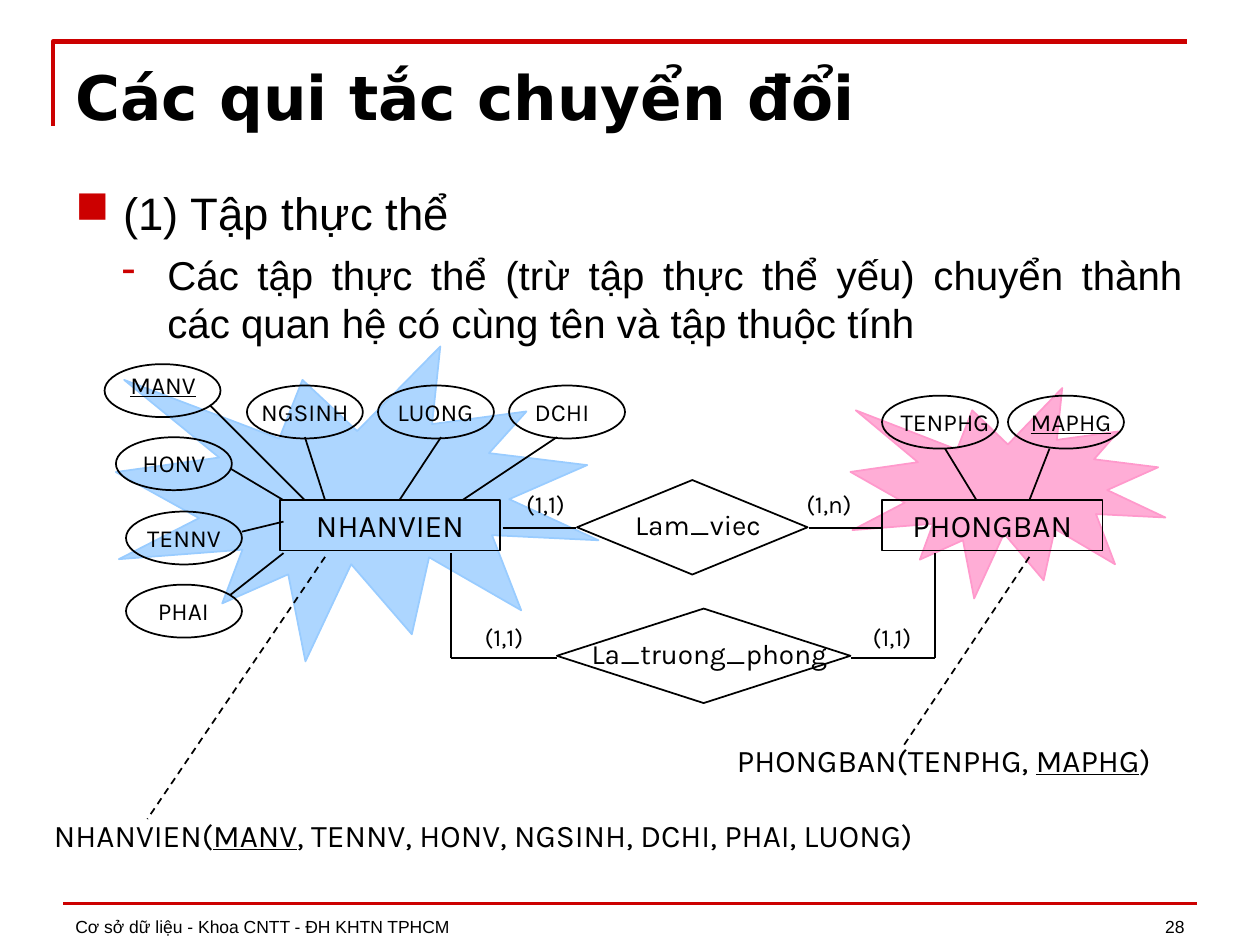
from collections import namedtuple

from lxml import etree
from pptx import Presentation
from pptx.dml.color import RGBColor
from pptx.enum.dml import MSO_LINE
from pptx.enum.shapes import MSO_CONNECTOR, MSO_SHAPE
from pptx.enum.text import MSO_ANCHOR, PP_ALIGN
from pptx.oxml.ns import qn
from pptx.util import Inches, Pt

COLORS = {"red": "CC0000", "black": "000000", "blue": "99CCFF", "pink": "FF99CC"}
Box = namedtuple("Box", "left top width height")
Attribute = namedtuple("Attribute", "name left top label_shift label_width link key",
                       defaults=(False,))


def rgb(name):
    return RGBColor.from_string(COLORS[name])


def lengths(box):
    return [Inches(value) for value in box]


def inside(box, left, top, width, height):
    return Box(box.left + left, box.top + top, width, height)


def add_line(slide, origin, points, color="black", weight=1, dashed=False):
    start_x, start_y, end_x, end_y = points
    line = slide.shapes.add_connector(
        MSO_CONNECTOR.STRAIGHT,
        Inches(origin.left + start_x), Inches(origin.top + start_y),
        Inches(origin.left + end_x), Inches(origin.top + end_y))
    line.line.color.rgb = rgb(color)
    line.line.width = Pt(weight)
    if dashed:
        line.line.dash_style = MSO_LINE.DASH
    etree.SubElement(line._element.spPr, qn("a:effectLst"))


def add_outline(slide, kind, box):
    shape = slide.shapes.add_shape(kind, *lengths(box))
    shape.shadow.inherit = False
    shape.fill.background()
    shape.line.color.rgb = rgb("black")
    shape.line.width = Pt(1)
    return shape


def write(frame, parts, size, font="Karla", align=PP_ALIGN.CENTER,
          anchor=MSO_ANCHOR.TOP, bold=False):
    """Fill a frame with one paragraph; parts are (text, underlined) pairs."""
    frame.word_wrap = True
    frame.vertical_anchor = anchor
    paragraph = frame.paragraphs[0]
    paragraph.alignment = align
    style(paragraph, size, font, bold)
    for text, underlined in parts:
        run = paragraph.add_run()
        run.text = text
        if underlined:
            run.font.underline = True


def style(paragraph, size, font, bold=False):
    paragraph.font.size = Pt(size)
    paragraph.font.name = font
    paragraph.font.bold = bold
    paragraph.font.color.rgb = rgb("black")


def add_text(slide, box, parts, size, **options):
    frame = slide.shapes.add_textbox(*lengths(box)).text_frame
    write(frame, parts, size, **options)
    return frame


def add_header(slide, box):
    # Corner rule around the title
    builder = slide.shapes.build_freeform(
        Inches(box.left), Inches(box.top + box.height))
    builder.add_line_segments(
        [(Inches(box.left), Inches(box.top)),
         (Inches(box.left + box.width), Inches(box.top))], close=False)
    corner = builder.convert_to_shape()
    corner.shadow.inherit = False
    corner.fill.background()
    corner.line.color.rgb = rgb("red")
    corner.line.width = Pt(2.5)
    # Title
    frame = add_text(slide, inside(box, 0.08, 0.06, 9, 0.68),
                     [("Các qui tắc chuyển đổi", False)], 35, font="DejaVu Sans",
                     align=PP_ALIGN.LEFT, anchor=MSO_ANCHOR.BOTTOM, bold=True)
    frame.margin_bottom = Inches(0.02)


def add_footer(slide, box):
    add_line(slide, box, (0, 0.18, box.width, 0.18), "red", 2)
    for left, width, text, align in (
            (0, 6.08, "Cơ sở dữ liệu - Khoa CNTT - ĐH KHTN TPHCM", PP_ALIGN.LEFT),
            (6.67, 2.33, "28", PP_ALIGN.RIGHT)):
        add_text(slide, inside(box, left, 0, width, box.height), [(text, False)], 10,
                 font="Arial", align=align, anchor=MSO_ANCHOR.BOTTOM)


def add_body(slide, box):
    frame = slide.shapes.add_textbox(*lengths(box)).text_frame
    frame.word_wrap = True
    items = (
        ("(1) Tập thực thể", "■", 26, 0.38, 0.38, 0),
        ("Các tập thực thể (trừ tập thực thể yếu) chuyển thành "
         "các quan hệ có cùng tên và tập thuộc tính", "-", 23, 0.73, 0.36, 5.8))
    for level, (text, bullet, size, margin, hanging, before) in enumerate(items):
        paragraph = frame.add_paragraph() if level else frame.paragraphs[0]
        paragraph.text = text
        paragraph.level = level
        paragraph.alignment = PP_ALIGN.JUSTIFY
        properties = paragraph._p.get_or_add_pPr()
        properties.set("marL", str(Inches(margin)))
        properties.set("indent", str(-Inches(hanging)))
        color = etree.SubElement(properties, qn("a:buClr"))
        etree.SubElement(color, qn("a:srgbClr")).set("val", COLORS["red"])
        etree.SubElement(properties, qn("a:buChar")).set("char", bullet)
        if before:
            paragraph.space_before = Pt(before)
        style(paragraph, size, "Arial")


def add_entity(slide, box, name, color, burst, frame_place, attributes):
    # Coloured burst behind the entity
    seal = slide.shapes.add_shape(MSO_SHAPE.EXPLOSION1, *lengths(inside(box, *burst)))
    seal.shadow.inherit = False
    seal.fill.solid()
    seal.fill.fore_color.rgb = seal.line.color.rgb = rgb(color)
    seal.line.width = Pt(1)
    fill_color = seal._element.spPr.find(qn("a:solidFill"))[0]
    etree.SubElement(fill_color, qn("a:alpha")).set("val", "80000")
    # Entity rectangle
    rectangle = add_outline(slide, MSO_SHAPE.RECTANGLE,
                            inside(box, *frame_place, 1.75, 0.4))
    write(rectangle.text_frame, [(name, False)], 18)
    # Attributes with their links
    for item in attributes:
        oval = inside(box, item.left, item.top, 0.92, 0.42)
        add_outline(slide, MSO_SHAPE.OVAL, oval)
        label_drop = 0 if item.name == "MANV" else 0.04
        add_text(slide, inside(oval, item.label_shift, label_drop, item.label_width, 0.34),
                 [(item.name, item.key)], 14)
        add_line(slide, box, item.link)


def add_relationship(slide, box, name, cardinalities, lines):
    add_outline(slide, MSO_SHAPE.FLOWCHART_DECISION, box)
    add_text(slide, inside(box, 0.17, 0.17, box.width - 0.25, 0.37), [(name, False)], 16)
    for text, left, top in cardinalities:
        add_text(slide, inside(box, left, top, 1, 0.34), [(text, False)], 14)
    for points in lines:
        add_line(slide, box, points)


def add_schema(slide, box, parts, pointer):
    add_text(slide, box, parts, 18, align=PP_ALIGN.LEFT)
    add_line(slide, box, pointer, dashed=True)


def main():
    presentation = Presentation()
    presentation.slide_width, presentation.slide_height = Inches(10), Inches(7.5)
    slide = presentation.slides.add_slide(presentation.slide_layouts[6])

    add_header(slide, Box(0.42, 0.33, 9, 0.67))
    add_footer(slide, Box(0.5, 6.99, 9, 0.5))

    # Entities
    add_entity(slide, Box(6.75, 3.08, 2.5, 1.67), "PHONGBAN", "pink",
               (0, 0, 2.5, 1.67), (0.25, 0.89), (
                   Attribute("MAPHG", 1.25, 0.06, 0, 1, (1.58, 0.48, 1.42, 0.89), True),
                   Attribute("TENPHG", 0.25, 0.06, 0, 1, (0.75, 0.48, 1, 0.89))))
    add_entity(slide, Box(0.83, 2.75, 4.13, 2.5), "NHANVIEN", "blue",
               (0.09, 0, 3.83, 2.5), (1.39, 1.22), (
                   Attribute("TENNV", 0.17, 1.31, 0, 0.92, (1.42, 1.39, 1.09, 1.47)),
                   Attribute("NGSINH", 1.13, 0.31, -0.04, 1, (1.75, 1.22, 1.59, 0.72)),
                   Attribute("DCHI", 3.21, 0.31, -0.04, 0.92, (2.84, 1.22, 3.59, 0.72)),
                   Attribute("PHAI", 0.17, 1.89, 0.04, 0.83, (1.42, 1.64, 1, 1.97)),
                   Attribute("LUONG", 2.17, 0.31, 0.04, 0.83, (2.34, 1.22, 2.67, 0.72)),
                   Attribute("HONV", 0.09, 0.72, 0, 0.92, (1.42, 1.22, 1, 0.97)),
                   Attribute("MANV", 0, 0.14, 0.05, 0.83, (1.59, 1.22, 0.84, 0.47), True)))
    add_body(slide, Box(0.5, 1.42, 9, 5.29))

    # Relationships
    add_relationship(slide, Box(4.58, 3.81, 1.83, 0.75), "Lam_viec",
                     (("(1,1)", -0.75, 0.02), ("(1,n)", 1.5, 0.02)),
                     ((-0.59, 0.38, -0.01, 0.38), (1.84, 0.38, 2.42, 0.38)))
    add_relationship(slide, Box(4.42, 4.83, 2.33, 0.75), "La_truong_phong",
                     (("(1,1)", -0.92, 0.06), ("(1,1)", 2.16, 0.06)),
                     ((-0.84, -0.44, -0.84, 0.39), (-0.84, 0.39, 0, 0.39),
                      (3, -0.44, 3, 0.39), (2.33, 0.39, 3, 0.39)))

    # Resulting relation schemas
    add_schema(slide, Box(0.33, 6.43, 7.67, 0.7),
               (("NHANVIEN(", False), ("MANV", True),
                (", TENNV, HONV, NGSINH, DCHI, PHAI, LUONG)", False)),
               (2.25, -2.01, 0.84, 0.07))
    add_schema(slide, Box(5.75, 5.83, 3.92, 0.4),
               (("PHONGBAN(TENPHG, ", False), ("MAPHG", True), (")", False)),
               (2.42, -1.41, 1.42, 0.09))

    presentation.save("out.pptx")


if __name__ == "__main__":
    main()
